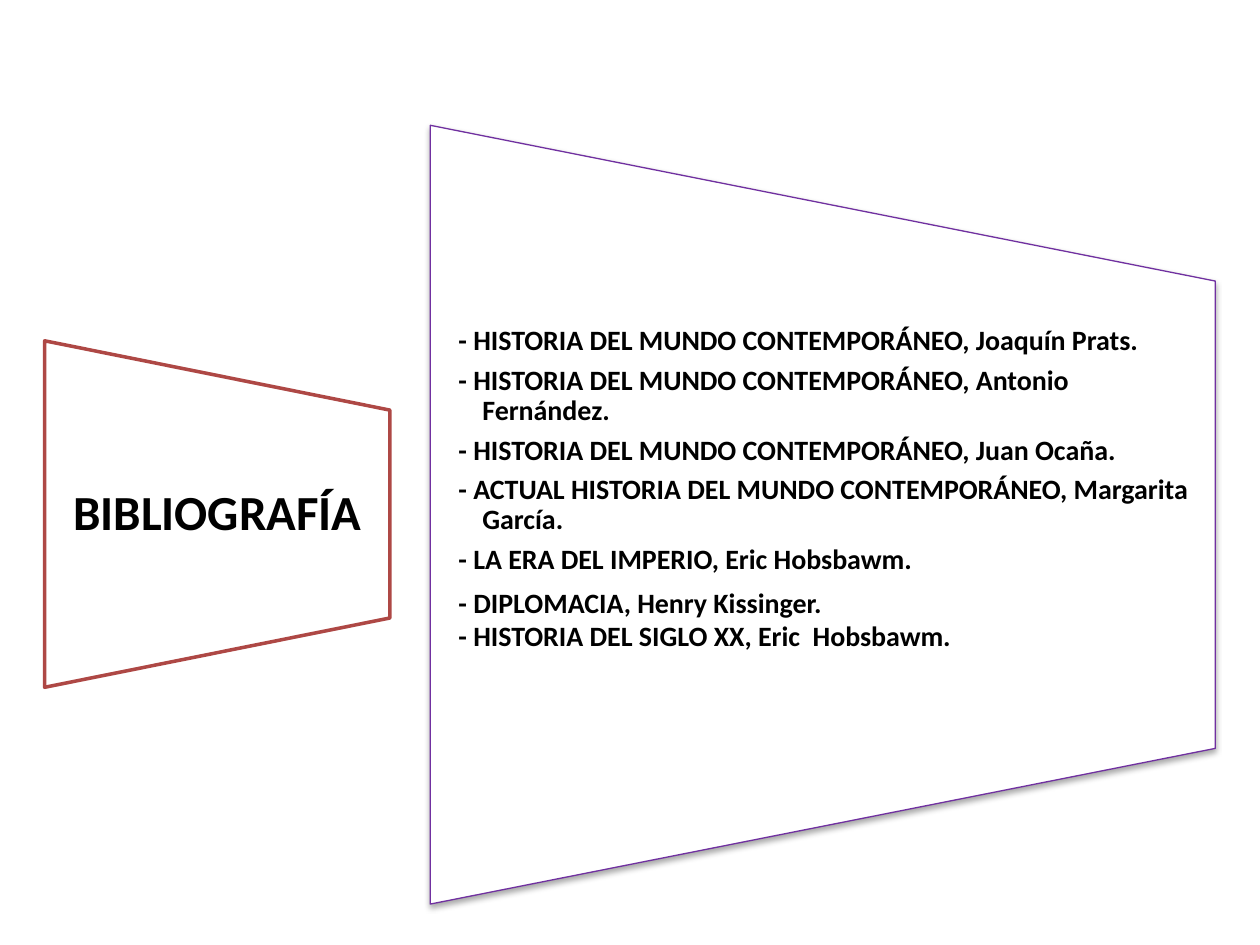
from dataclasses import dataclass

from lxml import etree
from pptx import Presentation
from pptx.dml.color import RGBColor
from pptx.enum import shapes, text
from pptx.oxml import ns
from pptx.util import Pt

WHITE = RGBColor(0xFF, 0xFF, 0xFF)
BLACK = RGBColor(0x00, 0x00, 0x00)
RED = RGBColor(0xAE, 0x48, 0x45)
PURPLE = RGBColor(0x70, 0x30, 0xA0)


@dataclass
class Panel:
    left: float
    top: float
    width: float
    height: float
    outline: RGBColor
    weight: float
    shaded: bool = False


@dataclass
class Reference:
    wording: str
    line_spacing: float = 0.9
    space_after: float = 5.4


HEADING_PANEL = Panel(25.2, 195.1, 198, 197.3, RED, 2)
REFERENCES_PANEL = Panel(247.7, 69.8, 445, 448.6, PURPLE, 0.75, shaded=True)

REFERENCES = [
    Reference("- HISTORIA DEL MUNDO CONTEMPORÁNEO, Joaquín Prats."),
    Reference("- HISTORIA DEL MUNDO CONTEMPORÁNEO, Antonio Fernández."),
    Reference("- HISTORIA DEL MUNDO CONTEMPORÁNEO, Juan Ocaña."),
    Reference("- ACTUAL HISTORIA DEL MUNDO CONTEMPORÁNEO, Margarita García."),
    Reference("- LA ERA DEL IMPERIO, Eric Hobsbawm."),
    Reference("- DIPLOMACIA, Henry Kissinger.", 1.0, 0),
    Reference("- HISTORIA DEL SIGLO XX, Eric  Hobsbawm.", 1.0, 0),
]


def apply(target, values: dict) -> None:
    for attribute, value in values.items():
        setattr(target, attribute, value)


def format_frame(frame, left: float, right: float, anchor) -> None:
    apply(frame, {
        "word_wrap": True, "auto_size": text.MSO_AUTO_SIZE.NONE,
        "vertical_anchor": anchor,
        "margin_left": Pt(left), "margin_right": Pt(right),
        "margin_top": 0, "margin_bottom": 0,
    })


def format_font(font, size: float) -> None:
    apply(font, {"name": "Calibri", "size": Pt(size), "bold": True})
    font.color.rgb = BLACK


def add_shade(panel_shape) -> None:
    effects = panel_shape.element.spPr.find(ns.qn("a:effectLst"))
    shade = etree.SubElement(
        effects, ns.qn("a:outerShdw"), blurRad=str(Pt(3.1)), dist=str(Pt(1.8)),
        dir="5400000", rotWithShape="0")
    color = etree.SubElement(shade, ns.qn("a:srgbClr"), val=str(BLACK))
    etree.SubElement(color, ns.qn("a:alpha"), val="35000")


def draw_panel(slide, panel: Panel) -> None:
    trapezoid = slide.shapes.add_shape(
        shapes.MSO_SHAPE.FLOWCHART_MANUAL_OPERATION,
        Pt(panel.left), Pt(panel.top), Pt(panel.width), Pt(panel.height))
    trapezoid.rotation = 270
    trapezoid.shadow.inherit = False
    trapezoid.fill.solid()
    trapezoid.fill.fore_color.rgb = WHITE
    trapezoid.line.color.rgb = panel.outline
    trapezoid.line.width = Pt(panel.weight)
    if panel.shaded:
        add_shade(trapezoid)


def draw_heading(slide, wording: str) -> None:
    heading = slide.shapes.title
    apply(heading, {"left": Pt(25.9), "top": Pt(234.7),
                    "width": Pt(197.3), "height": Pt(118.8)})
    format_frame(heading.text_frame, 13.7, 14.4, text.MSO_ANCHOR.MIDDLE)
    heading.text_frame.text = wording
    paragraph = heading.text_frame.paragraphs[0]
    apply(paragraph, {"alignment": text.PP_ALIGN.CENTER, "line_spacing": 0.9})
    format_font(paragraph.runs[0].font, 28)
    slide.shapes.element.append(heading.element)


def draw_references(slide, references: list[Reference]) -> None:
    listing = slide.shapes.add_textbox(Pt(245.5), Pt(186.5), Pt(448.6), Pt(241))
    frame = listing.text_frame
    format_frame(frame, 8.6, 8.6, text.MSO_ANCHOR.TOP)
    for position, reference in enumerate(references):
        paragraph = frame.add_paragraph() if position else frame.paragraphs[0]
        apply(paragraph, {"line_spacing": reference.line_spacing,
                          "space_after": Pt(reference.space_after)})
        apply_indent = paragraph._p.get_or_add_pPr()
        apply_indent.set("marL", str(Pt(21.6)))
        apply_indent.set("indent", str(Pt(-13.7)))
        run = paragraph.add_run()
        run.text = reference.wording
        format_font(run.font, 16)


def main() -> None:
    presentation = Presentation()
    apply(presentation, {"slide_width": Pt(720), "slide_height": Pt(540)})
    slide = presentation.slides.add_slide(presentation.slide_layouts[5])
    draw_panel(slide, HEADING_PANEL)
    draw_heading(slide, "BIBLIOGRAFÍA")
    draw_panel(slide, REFERENCES_PANEL)
    draw_references(slide, REFERENCES)
    presentation.save("out.pptx")


if __name__ == "__main__":
    main()
